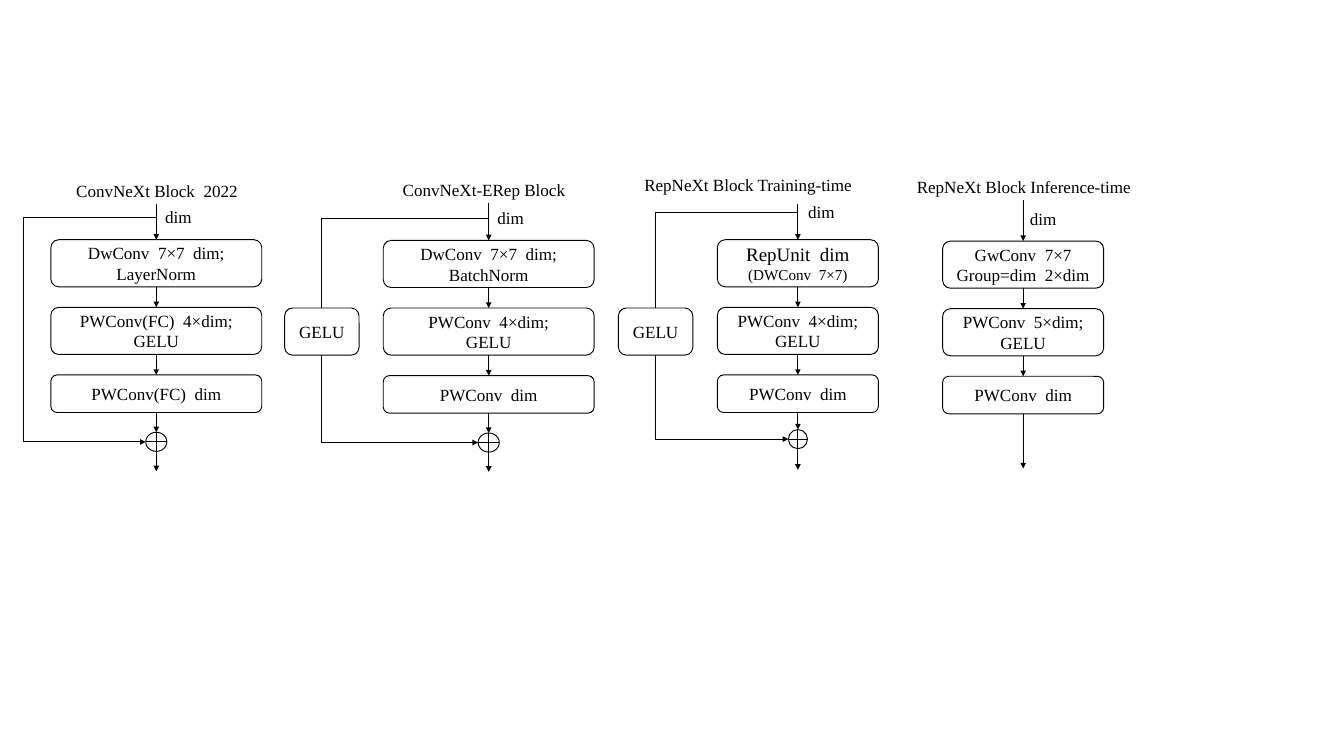
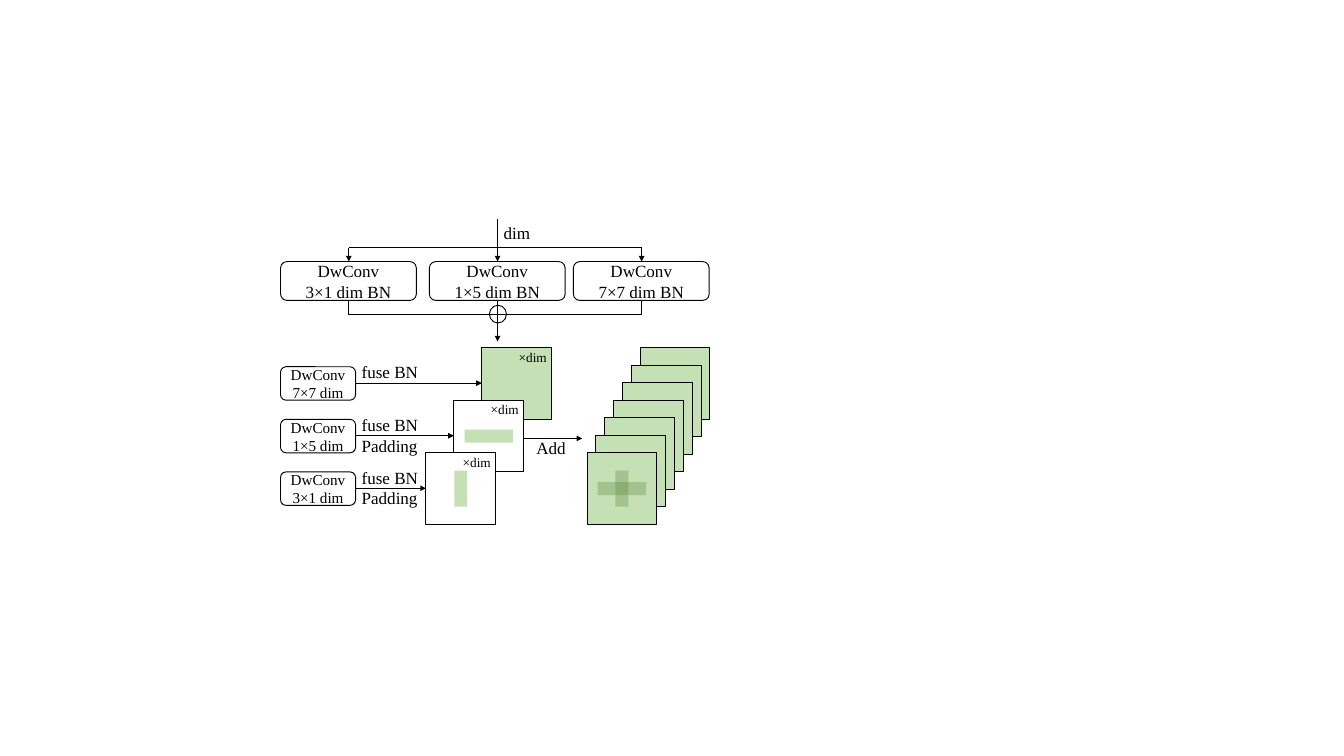
from dataclasses import dataclass

from lxml import etree
from pptx import Presentation
from pptx import util as u
from pptx.dml.color import RGBColor
from pptx.enum import shapes, text
from pptx.oxml import ns

# Shared style
BLACK = RGBColor(0x00, 0x00, 0x00)
WHITE = RGBColor(0xFF, 0xFF, 0xFF)
LIGHT = RGBColor(0xC5, 0xE0, 0xB4)
DARK = RGBColor(0x54, 0x82, 0x35)
FONT = "Times New Roman"
LEFT, MID = text.PP_ALIGN.LEFT, text.PP_ALIGN.CENTER
KIND = shapes.MSO_SHAPE
WIRE = shapes.MSO_CONNECTOR

# Sizes on the second slide
CARD_W, CARD_H = 1.02, 1.05


@dataclass
class Block:
    title: str
    title_x: float
    title_y: float
    x: float
    width: float
    start: float
    dim_x: float
    dim_y: float
    top: float
    steps: list
    end: float
    join: tuple = ()   # top, width of the sum sign
    loop: tuple = ()   # left edge, top of the skip path
    gate: bool = False


BLOCKS = [
    Block("ConvNeXt Block  2022", 2.3, 2.59, 2.29, 3.09, 2.98, 2.32, 2.98, 3.51,
          [["DwConv  7×7  dim;", "LayerNorm"],
           ["PWConv(FC)  4×dim;", "GELU"], ["PWConv(FC)  dim"]],
          6.9, (6.33, 0.31), (0.35, 3.18)),
    Block("ConvNeXt-ERep Block", 7.09, 2.58, 7.16, 3.09, 2.97, 7.19, 2.99, 3.52,
          [["DwConv  7×7  dim;", "BatchNorm"],
           ["PWConv  4×dim;", "GELU"], ["PWConv  dim"]],
          6.91, (6.34, 0.31), (4.71, 3.2), True),
    Block("RepNeXt Block Training-time", 10.96, 2.51, 11.69, 2.36, 2.98, 11.74, 2.9, 3.51,
          [[("RepUnit  dim", 20), ("(DWConv  7×7)", 16)],
           ["PWConv  4×dim;", "GELU"], ["PWConv  dim"]],
          6.88, (6.29, 0.28), (9.6, 3.11), True),
    Block("RepNeXt Block Inference-time", 15, 2.53, 14.99, 2.36, 2.93, 14.99, 3, 3.53,
          [["GwConv  7×7", "Group=dim  2×dim"],
           ["PWConv  5×dim;", "GELU"], ["PWConv  dim"]],
          6.86),
]


# Kinds of element
def write(frame, lines, size, align):
    """Each line is a string, or a pair of string and size."""
    frame.word_wrap = True
    for i, line in enumerate(lines):
        words, points = line if isinstance(line, tuple) else (line, size)
        para = frame.paragraphs[0] if i == 0 else frame.add_paragraph()
        para.alignment = align
        run = para.add_run()
        run.text = words
        run.font.name = FONT
        run.font.size = u.Pt(points)
        run.font.color.rgb = BLACK


def label(slide, x, y, w, words, size=18, align=LEFT):
    box = slide.shapes.add_textbox(u.Inches(x), u.Inches(y), u.Inches(w), u.Inches(0.4))
    write(box.text_frame, [words], size, align)


def shape(slide, kind, x, y, w, h, fill=None, edge=True):
    form = slide.shapes.add_shape(kind, u.Inches(x), u.Inches(y), u.Inches(w), u.Inches(h))
    form.shadow.inherit = False
    if fill is None:
        form.fill.background()
    else:
        form.fill.solid()
        form.fill.fore_color.rgb = fill
    if edge:
        form.line.color.rgb = BLACK
        form.line.width = u.Pt(1)
    else:
        form.line.fill.background()
    return form


def box(slide, x, y, w, h, lines, size=18):
    form = shape(slide, KIND.ROUNDED_RECTANGLE, x, y, w, h, WHITE)
    form.text_frame.vertical_anchor = text.MSO_ANCHOR.MIDDLE
    write(form.text_frame, lines, size, MID)


def line(slide, x1, y1, x2, y2, head=True, kind=WIRE.STRAIGHT):
    wire = slide.shapes.add_connector(
        kind, u.Inches(x1), u.Inches(y1), u.Inches(x2), u.Inches(y2))
    wire.line.color.rgb = BLACK
    wire.line.width = u.Pt(1)
    if head:
        etree.SubElement(wire.line._get_or_add_ln(), ns.qn("a:tailEnd"), type="triangle")
    etree.SubElement(wire._element.spPr, ns.qn("a:effectLst"))
    return wire


def skip(slide, x1, y1, x2, y2, left):
    """Arrow that leaves to the left, runs down and comes back."""
    wire = line(slide, x1, y1, x2, y2, kind=WIRE.ELBOW)
    props = wire._element.spPr
    xfrm = props.find(ns.qn("a:xfrm"))
    xfrm.attrib.pop("flipH", None)
    xfrm.set("rot", "10800000")
    xfrm.set("flipV", "1")
    geom = props.find(ns.qn("a:prstGeom"))
    guides = geom.find(ns.qn("a:avLst"))
    if guides is None:
        guides = etree.SubElement(geom, ns.qn("a:avLst"))
    ratio = round((x1 - left) / (x1 - x2) * 100000)
    etree.SubElement(guides, ns.qn("a:gd"), name="adj1", fmla=f"val {ratio}")


def card(slide, x, y, fill):
    shape(slide, KIND.RECTANGLE, x, y, CARD_W, CARD_H, fill)


def bar(slide, x, y, w, h, fill=LIGHT, alpha=None):
    """Bar in the middle of the card at x, y."""
    form = shape(slide, KIND.RECTANGLE, x + (CARD_W - w) / 2, y + (CARD_H - h) / 2,
                 w, h, fill, edge=False)
    if alpha:
        tint = form._element.spPr.find(ns.qn("a:solidFill"))[0]
        etree.SubElement(tint, ns.qn("a:alpha"), val=str(alpha * 1000))


# Slide 1: four block designs
def draw_block(slide, b):
    label(slide, b.title_x - 1.8, b.title_y, 3.6, b.title, align=MID)
    label(slide, b.dim_x, b.dim_y, 0.8, "dim")

    last = b.start
    for i, lines in enumerate(b.steps):
        y = b.top + 0.99 * i
        high = 0.69 if len(lines) > 1 else 0.55
        box(slide, b.x - b.width / 2, y, b.width, high, lines)
        line(slide, b.x, last, b.x, y)
        last = y + high

    if b.join:
        y, wide = b.join
        line(slide, b.x, last, b.x, y)
        shape(slide, KIND.FLOWCHART_OR, b.x - wide / 2, y, wide, 0.28, WHITE)
        last = y + 0.28
        left, top = b.loop
        skip(slide, b.x, top, b.x - wide / 2, y + 0.14, left)
        if b.gate:
            box(slide, left - 0.54, 4.51, 1.09, 0.69, ["GELU"])
    line(slide, b.x, last, b.x, b.end)


# Slide 2: branches of the unit
def draw_unit(slide):
    mid, top, low = 7.29, 3.63, 4.61
    line(slide, mid, 3.21, mid, 3.83)
    label(slide, 7.28, 3.21, 1.86, "dim")
    for x, size in ((5.11, "3×1"), (mid, "1×5"), (9.4, "7×7")):
        box(slide, x - 1, 3.83, 1.99, 0.57, ["DwConv", size + " dim BN"])
        if x != mid:
            line(slide, x, top, x, 3.83)
            line(slide, x, 4.4, x, low, head=False)
    for y in (top, low):
        line(slide, 5.11, y, 9.4, y, head=False)
    shape(slide, KIND.OVAL, 7.17, 4.47, 0.25, 0.26)
    line(slide, mid, 4.4, mid, 5)


# Slide 2: fused kernels and their sum
def draw_fuse(slide):
    rows = [("7×7", LIGHT, None), ("1×5", WHITE, (0.71, 0.19)), ("3×1", WHITE, (0.19, 0.53))]
    for i, (size, fill, mark) in enumerate(rows):
        x, y = 7.06 - 0.41 * i, 5.09 + 0.77 * i
        card(slide, x, y, fill)
        label(slide, x + 0.44, y - 0.03, 0.75, "×dim", 14)
        box(slide, 4.11, y + 0.28, 1.1, 0.49, ["DwConv", size + " dim"], 16)
        line(slide, 5.2, y + 0.52, x, y + 0.52)
        label(slide, 5.2, y + 0.16, 1.1, "fuse BN")
        if mark:
            label(slide, 5.2, y + 0.46, 1.42, "Padding")
            bar(slide, x, y, *mark)

    line(slide, 7.68, 6.42, 8.53, 6.42)
    label(slide, 7.76, 6.35, 0.7, "Add")

    for i in range(7):
        x, y = 9.38 - 0.13 * i, 5.09 + 1.54 * i / 6
        card(slide, x, y, LIGHT)
    for wide, high in ((0.71, 0.19), (0.19, 0.53)):
        bar(slide, x, y, wide, high, DARK, 30)


def main():
    deck = Presentation()
    deck.slide_width, deck.slide_height = u.Inches(19.69), u.Inches(11.07)
    blank = deck.slide_layouts[6]

    first = deck.slides.add_slide(blank)
    for block in BLOCKS:
        draw_block(first, block)

    second = deck.slides.add_slide(blank)
    draw_unit(second)
    draw_fuse(second)
    deck.save("out.pptx")


if __name__ == "__main__":
    main()
